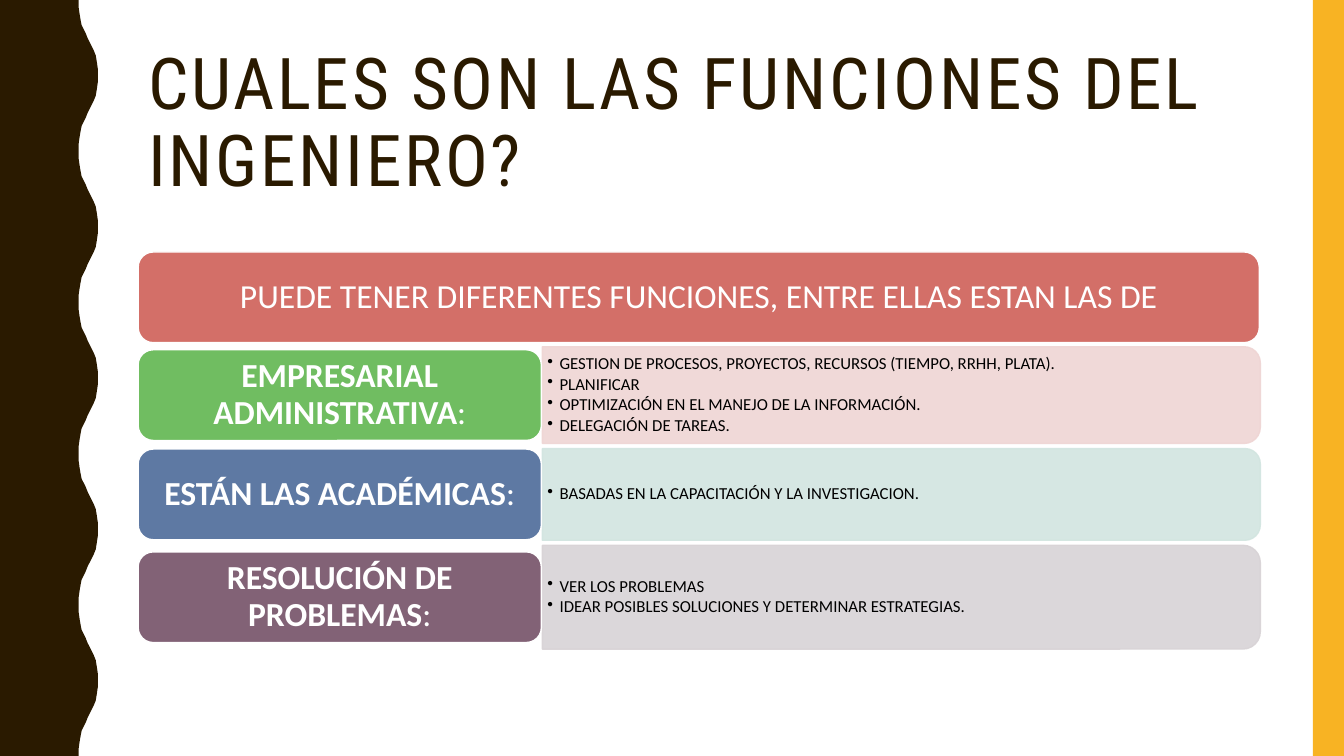
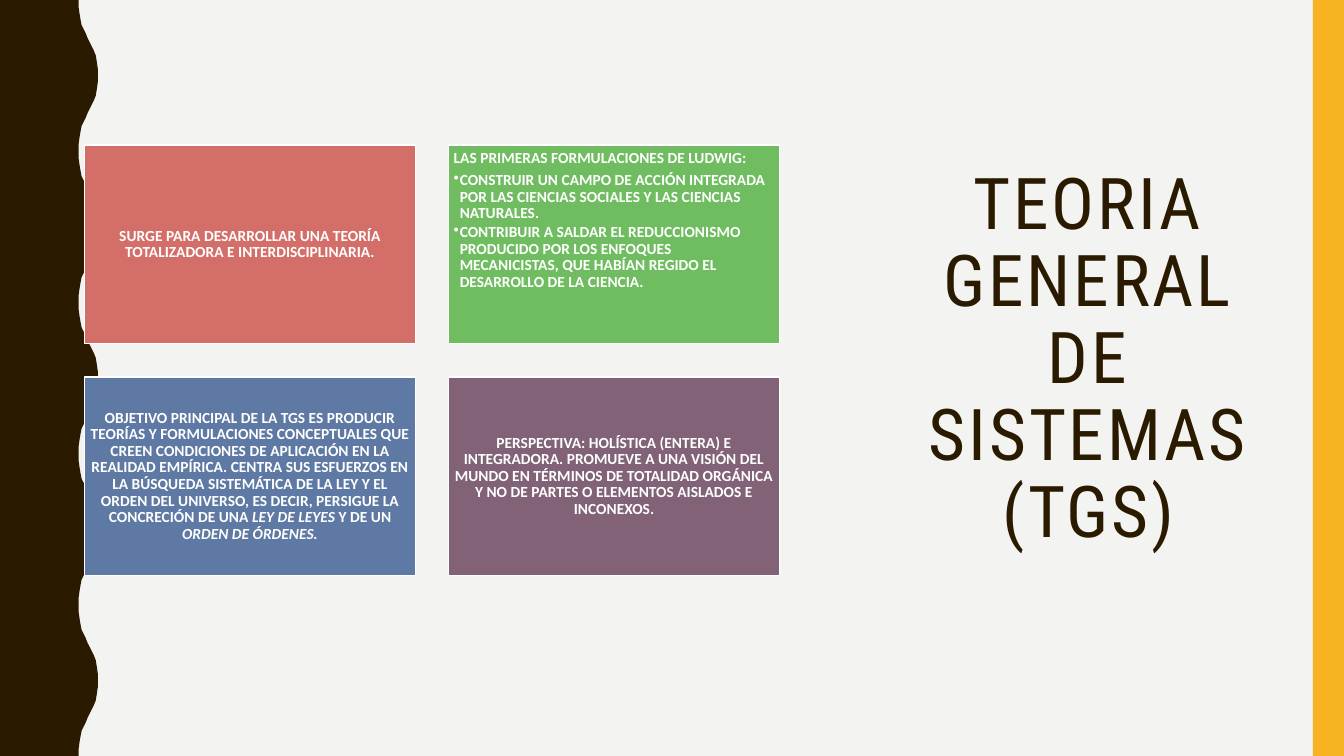
from dataclasses import dataclass
from itertools import product
from typing import NamedTuple, Optional

from lxml import etree
from pptx import Presentation
from pptx.dml.color import RGBColor
from pptx.enum import shapes, text
from pptx.oxml import ns
from pptx.util import Inches, Pt


@dataclass(frozen=True)
class Theme:
    brown: str = "2A1A00"
    amber: str = "F8B323"
    white: str = "FFFFFF"
    black: str = "000000"
    mist: str = "F3F3F2"
    coral: str = "D36F68"
    green: str = "70BD61"
    blue: str = "5E79A3"
    plum: str = "826276"
    pale_coral: str = "EFD5D4"
    pale_teal: str = "D2E5E0"
    pale_plum: str = "D8D3D6"
    heading_font: str = "Roboto Condensed"
    body_font: str = "Calibri"
    title_size: float = 51
    label_size: float = 24
    detail_size: float = 12
    card_size: float = 11


THEME = Theme()
PRESET = shapes.MSO_SHAPE
CENTER = text.PP_ALIGN.CENTER
LEFT = text.PP_ALIGN.LEFT
MIDDLE = text.MSO_ANCHOR.MIDDLE
TOP = text.MSO_ANCHOR.TOP


class Box(NamedTuple):
    left: float
    top: float
    width: float
    height: float

    def emu(self) -> list:
        return [Inches(side) for side in self]


class Span(NamedTuple):
    words: str
    bold: Optional[bool] = None
    italic: Optional[bool] = None


@dataclass(frozen=True)
class Para:
    spans: tuple
    size: float
    color: str = THEME.white
    font: str = THEME.body_font
    bold: bool = False
    align: int = CENTER
    after: float = 0.35  # share of the type size
    hang: float = 0  # bullet indent in inches; 0 means no bullet
    tracking: float = 0


@dataclass(frozen=True)
class Role:
    label: str
    color: str
    tint: str
    height: float
    duties: tuple


@dataclass(frozen=True)
class Card:
    color: str
    paras: tuple
    anchor: int = MIDDLE


def card_para(*spans: Span) -> Para:
    return Para(spans, THEME.card_size, bold=True)


def card_bullet(words: str) -> Para:
    return Para((Span(words),), THEME.card_size, bold=True, align=LEFT,
                after=0.15, hang=0.06)


ROLES = (
    Role("EMPRESARIAL ADMINISTRATIVA", THEME.green, THEME.pale_coral, 0.96, (
        "GESTION DE PROCESOS, PROYECTOS, RECURSOS (TIEMPO, RRHH, PLATA).",
        "PLANIFICAR",
        "OPTIMIZACIÓN EN EL MANEJO DE LA INFORMACIÓN.",
        "DELEGACIÓN DE TAREAS.")),
    Role("ESTÁN LAS ACADÉMICAS", THEME.blue, THEME.pale_teal, 0.91, (
        "BASADAS EN LA CAPACITACIÓN Y LA INVESTIGACION.",)),
    Role("RESOLUCIÓN DE PROBLEMAS", THEME.plum, THEME.pale_plum, 1.03, (
        "VER LOS PROBLEMAS",
        "IDEAR POSIBLES SOLUCIONES Y DETERMINAR ESTRATEGIAS.")),
)

CARDS = (
    Card(THEME.coral, (card_para(Span(
        "SURGE PARA DESARROLLAR UNA TEORÍA TOTALIZADORA E INTERDISCIPLINARIA.")),)),
    Card(THEME.green, (
        Para((Span("LAS PRIMERAS FORMULACIONES DE LUDWIG:"),), THEME.card_size,
             bold=True, align=LEFT),
        card_bullet("CONSTRUIR UN CAMPO DE ACCIÓN INTEGRADA POR LAS CIENCIAS "
                    "SOCIALES Y LAS CIENCIAS NATURALES."),
        card_bullet("CONTRIBUIR A SALDAR EL REDUCCIONISMO PRODUCIDO POR LOS ENFOQUES "
                    "MECANICISTAS, QUE HABÍAN REGIDO EL DESARROLLO DE LA CIENCIA."),
    ), TOP),
    Card(THEME.blue, (card_para(
        Span("OBJETIVO PRINCIPAL DE LA TGS ES PRODUCIR TEORÍAS Y FORMULACIONES "
             "CONCEPTUALES QUE CREEN CONDICIONES DE APLICACIÓN EN LA REALIDAD "
             "EMPÍRICA. CENTRA SUS ESFUERZOS EN LA BÚSQUEDA SISTEMÁTICA DE LA LEY "
             "Y EL ORDEN DEL UNIVERSO, ES DECIR, PERSIGUE LA CONCRECIÓN DE UNA "),
        Span("LEY DE LEYES", italic=True),
        Span(" Y DE UN "),
        Span("ORDEN DE ÓRDENES.", italic=True)),)),
    Card(THEME.plum, (card_para(Span(
        "PERSPECTIVA: HOLÍSTICA (ENTERA) E INTEGRADORA. PROMUEVE A UNA VISIÓN DEL "
        "MUNDO EN TÉRMINOS DE TOTALIDAD ORGÁNICA Y NO DE PARTES O ELEMENTOS "
        "AISLADOS E INCONEXOS.")),)),
)

SLIDE_WIDTH, SLIDE_HEIGHT = 13.33, 7.5
WAVE_PERIOD = 1.5
# Left edge of the wave over half a period: (x, y) from trough towards crest.
HALF_WAVE = ((0.78, 0), (0.78, 0.07), (0.79, 0.14), (0.8, 0.2), (0.81, 0.25),
             (0.83, 0.29), (0.85, 0.33), (0.87, 0.38), (0.89, 0.42), (0.91, 0.46),
             (0.93, 0.5), (0.95, 0.55), (0.96, 0.61), (0.97, 0.68), (0.97, 0.75))


def paint(shape, fill: str, line: Optional[str] = None) -> None:
    shape.shadow.inherit = False
    shape.fill.solid()
    shape.fill.fore_color.rgb = RGBColor.from_string(fill)
    if line:
        shape.line.color.rgb = RGBColor.from_string(line)
        shape.line.width = Pt(1)
    else:
        shape.line.fill.background()


def set_opacity(shape, percent: int) -> None:
    for color in shape._element.spPr.iter(ns.qn("a:srgbClr")):
        etree.SubElement(color, ns.qn("a:alpha"), val=str(percent * 1000))


def add_block(slide, preset: int, box: Box, fill: str, line: Optional[str] = None):
    block = slide.shapes.add_shape(preset, *box.emu())
    paint(block, fill, line)
    return block


def write(shape, paras: tuple, anchor: int = MIDDLE,
          insets: tuple = (0.1, 0.05)) -> None:
    """Fill a shape with paragraphs; insets are (horizontal, vertical) inches."""
    frame = shape.text_frame
    frame.word_wrap = True
    frame.vertical_anchor = anchor
    frame.margin_left = frame.margin_right = Inches(insets[0])
    frame.margin_top = frame.margin_bottom = Inches(insets[1])
    for index, para in enumerate(paras):
        line = frame.add_paragraph() if index else frame.paragraphs[0]
        line.alignment = para.align
        line.line_spacing = 0.9
        line.space_after = Pt(para.after * para.size)
        if para.hang:
            props = line._p.get_or_add_pPr()
            props.set("marL", str(Inches(para.hang)))
            props.set("indent", str(-Inches(para.hang)))
            etree.SubElement(props, ns.qn("a:buChar"), char="•")
        line.font.name = para.font
        line.font.size = Pt(para.size)
        line.font.bold = para.bold
        line.font.color.rgb = RGBColor.from_string(para.color)
        for span in para.spans:
            run = line.add_run()
            run.text = span.words
            if span.bold is not None:
                run.font.bold = span.bold
            if span.italic is not None:
                run.font.italic = span.italic
            if para.tracking:
                run._r.get_or_add_rPr().set("spc", str(int(para.tracking * 100)))


def add_text(slide, box: Box, paras: tuple, insets: tuple = (0.1, 0.05)) -> None:
    write(slide.shapes.add_textbox(*box.emu()), paras, insets=insets)


def add_wave(slide) -> None:
    crest_to_trough = [(x, WAVE_PERIOD - y) for x, y in HALF_WAVE[-2::-1]]
    period = [*HALF_WAVE, *crest_to_trough]
    edge = [(x, y + n * WAVE_PERIOD)
            for n in range(int(SLIDE_HEIGHT / WAVE_PERIOD)) for x, y in period]
    outline = slide.shapes.build_freeform(0, 0, scale=1.0)
    outline.add_line_segments(
        [(Inches(x), Inches(y)) for x, y in [*edge, (0, SLIDE_HEIGHT)]], close=True)
    paint(outline.convert_to_shape(), THEME.brown)


def add_base_slide(deck, background: str, title: str, title_box: Box, align: int):
    """Add a slide with the shared background, wave, side band and title."""
    slide = deck.slides.add_slide(deck.slide_layouts[6])
    slide.background.fill.solid()
    slide.background.fill.fore_color.rgb = RGBColor.from_string(background)
    add_wave(slide)
    add_block(slide, PRESET.RECTANGLE, Box(13.02, 0, 0.31, SLIDE_HEIGHT), THEME.amber)
    add_text(slide, title_box, (Para(
        (Span(title),), THEME.title_size, THEME.brown, THEME.heading_font,
        align=align, after=0, tracking=2),))
    return slide


def add_role(slide, role: Role, top: float) -> None:
    """Draw a role's label bar beside its tinted panel of duties."""
    left, label_width, label_height = 1.37, 4, 0.9
    panel = Box(5.38, top, 7.12, role.height)
    middle = top + role.height / 2
    # The rounded end faces right after a quarter turn about the panel's centre.
    upright = Box(panel.left + (panel.width - panel.height) / 2,
                  middle - panel.width / 2, panel.height, panel.width)
    tint = add_block(slide, PRESET.ROUND_2_SAME_RECTANGLE, upright, role.tint, role.tint)
    tint.rotation = 90
    set_opacity(tint, 90)
    duties = tuple(Para((Span(duty),), THEME.detail_size, THEME.black, align=LEFT,
                        after=0.15, hang=0.12) for duty in role.duties)
    add_text(slide, panel, duties, insets=(0.05, 0.03))
    bar = add_block(slide, PRESET.ROUNDED_RECTANGLE,
                    Box(left, middle - label_height / 2, label_width, label_height),
                    role.color, THEME.white)
    write(bar, (Para((Span(role.label), Span(":", bold=False)),
                     THEME.label_size, bold=True),))


def build_functions_slide(deck) -> None:
    slide = add_base_slide(deck, THEME.white, "CUALES SON LAS FUNCIONES DEL INGENIERO?",
                           Box(1.37, 0.42, 11.13, 1.63), LEFT)
    intro = add_block(slide, PRESET.ROUNDED_RECTANGLE, Box(1.37, 2.5, 11.12, 0.9),
                      THEME.coral, THEME.white)
    write(intro, (Para((Span("PUEDE TENER DIFERENTES FUNCIONES, ENTRE ELLAS ESTAN LAS DE"),),
                       THEME.label_size),))
    top, gap = 3.44, 0.05
    for role in ROLES:
        add_role(slide, role, top)
        top += role.height + gap


def build_theory_slide(deck) -> None:
    slide = add_base_slide(deck, THEME.mist, "TEORIA GENERAL DE SISTEMAS (TGS)",
                           Box(8.8, 0.53, 4, 6.09), CENTER)
    left, top, width, height, gap = 0.84, 1.44, 3.28, 1.97, 0.33
    for (row, column), card in zip(product(range(2), repeat=2), CARDS):
        box = Box(left + column * (width + gap), top + row * (height + gap),
                  width, height)
        tile = add_block(slide, PRESET.RECTANGLE, box, card.color, THEME.white)
        write(tile, card.paras, card.anchor, insets=(0.05, 0.05))


def main() -> None:
    deck = Presentation()
    deck.slide_width = Inches(SLIDE_WIDTH)
    deck.slide_height = Inches(SLIDE_HEIGHT)
    build_functions_slide(deck)
    build_theory_slide(deck)
    deck.save("out.pptx")


if __name__ == "__main__":
    main()
